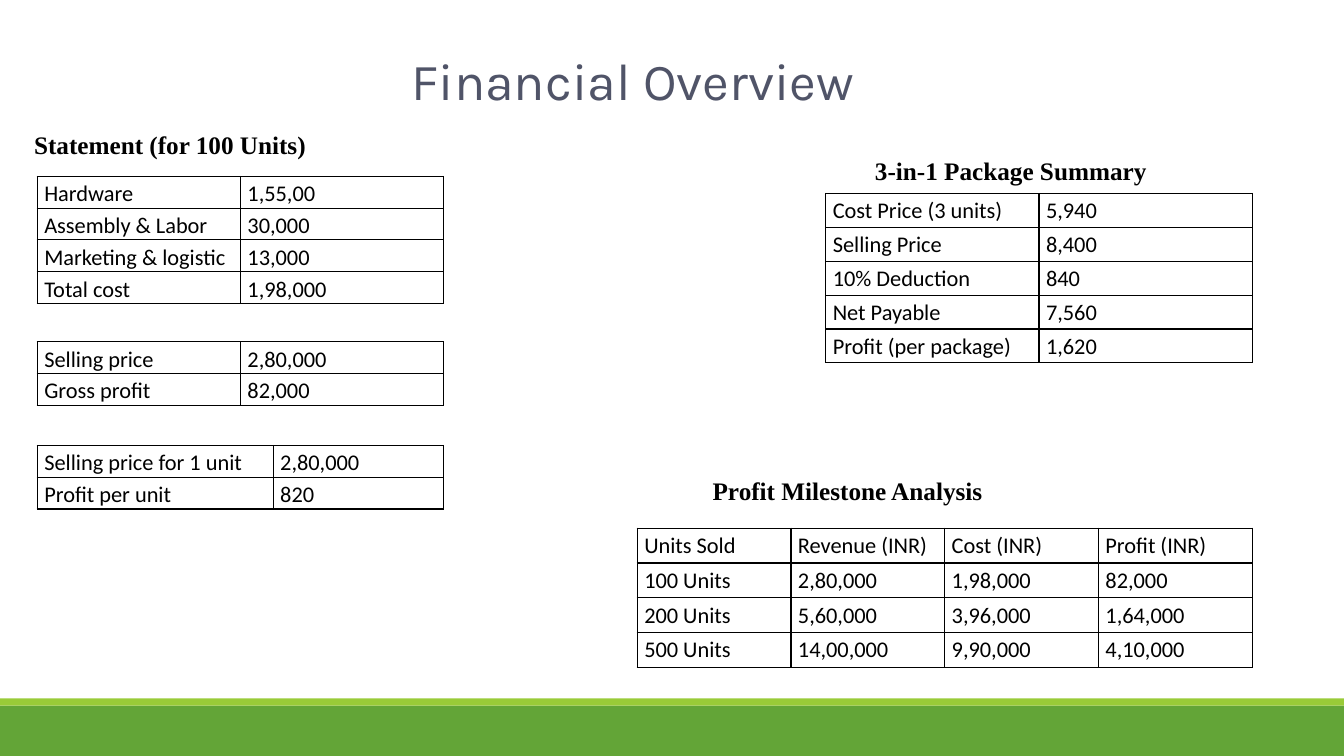
from pptx import Presentation
from pptx.dml.color import RGBColor
from pptx.enum.shapes import MSO_SHAPE
from pptx.enum.text import MSO_ANCHOR, MSO_AUTO_SIZE, PP_ALIGN
from pptx.oxml import parse_xml
from pptx.oxml.ns import nsdecls
from pptx.util import Inches, Pt

RECT = MSO_SHAPE.RECTANGLE
TOP = MSO_ANCHOR.TOP
LEFT = PP_ALIGN.LEFT
NO_FIT = MSO_AUTO_SIZE.NONE
COLORS = {"title": "505468", "text": "000000", "border": "000000",
          "green": "63A537", "lime": "99CB38"}

COSTS = [("Hardware", "1,55,00"), ("Assembly & Labor", "30,000"),
         ("Marketing & logistic", "13,000"), ("Total cost", "1,98,000")]
PROFIT = [("Selling price", "2,80,000"), ("Gross profit", "82,000")]
UNIT = [("Selling price for 1 unit", "2,80,000"), ("Profit per unit", "820")]
PACKAGE = [("Cost Price (3 units)", "5,940"), ("Selling Price", "8,400"),
           ("10% Deduction", "840"), ("Net Payable", "7,560"),
           ("Profit (per package)", "1,620")]
MILESTONES = [("Units Sold", "Revenue (INR)", "Cost (INR)", "Profit (INR)"),
              ("100 Units", "2,80,000", "1,98,000", "82,000"),
              ("200 Units", "5,60,000", "3,96,000", "1,64,000"),
              ("500 Units", "14,00,000", "9,90,000", "4,10,000")]


def set_text(tf, text, size, font, color="text", bold=False, spacing=1.15, after=8):
    """Write one formatted paragraph into a text frame."""
    p = tf.paragraphs[0]
    p.alignment = LEFT
    p.line_spacing = spacing
    p.space_before = Pt(0)
    p.space_after = Pt(after)
    r = p.add_run()
    r.text = text
    r.font.size = Pt(size)
    r.font.name = font
    r.font.bold = bold
    r.font.color.rgb = RGBColor.from_string(COLORS[color])


def add_footer(slide, x, y, w, h):
    """Draw the green footer with its lime strip on top."""
    strip = 0.07
    for top, height, color in ((y + strip, h - strip, "green"), (y, strip, "lime")):
        sp = slide.shapes.add_shape(RECT, Inches(x), Inches(top), Inches(w), Inches(height))
        sp.shadow.inherit = False
        sp.fill.solid()
        sp.fill.fore_color.rgb = RGBColor.from_string(COLORS[color])
        sp.line.fill.background()


def add_title(slide, text, x, y, w, h):
    """Place the slide title in its placeholder."""
    sp = slide.shapes.title
    sp.left, sp.top, sp.width, sp.height = (Inches(v) for v in (x, y, w, h))
    tf = sp.text_frame
    tf.margin_left = tf.margin_right = tf.margin_top = tf.margin_bottom = 0
    tf.vertical_anchor = TOP
    tf.auto_size = NO_FIT
    tf.word_wrap = False
    set_text(tf, text, 37.1, "Karla", color="title", spacing=Pt(46.2), after=0)


def add_heading(slide, text, x, y, w, h=0.43):
    """Add a bold serif heading above a table."""
    tf = slide.shapes.add_textbox(Inches(x), Inches(y), Inches(w), Inches(h)).text_frame
    tf.word_wrap = True
    set_text(tf, text, 18, "Times New Roman", bold=True)


def format_cell(cell, text):
    """Fill a table cell with text, thin borders and no background."""
    cell.margin_left = cell.margin_right = Inches(0.07)
    cell.margin_top = cell.margin_bottom = 0
    set_text(cell.text_frame, text, 16, "Calibri")
    tc_pr = cell._tc.get_or_add_tcPr()
    for side in "LRTB":
        tc_pr.append(parse_xml(
            f'<a:ln{side} {nsdecls("a")} w="12700"><a:solidFill>'
            f'<a:srgbClr val="{COLORS["border"]}"/></a:solidFill></a:ln{side}>'))
    cell.fill.background()


def add_grid(slide, rows, x, y, w, h, first_col=None):
    """Add a bordered table with equal rows and an optional first column width."""
    n = len(rows[0])
    first = first_col or w / n
    widths = [first] + [(w - first) / (n - 1)] * (n - 1)
    table = slide.shapes.add_table(len(rows), n, Inches(x), Inches(y),
                                   Inches(w), Inches(h)).table
    table.first_row = table.horz_banding = False
    for col, width in zip(table.columns, widths):
        col.width = Inches(width)
    for i, row in enumerate(rows):
        table.rows[i].height = Inches(h / len(rows))
        for j, text in enumerate(row):
            format_cell(table.cell(i, j), text)


def add_statement(slide, x, y, w):
    """Place the statement heading and its three tables."""
    add_heading(slide, "Statement (for 100 Units)", x - 0.13, y, 6.67)
    add_grid(slide, COSTS, x, y + 0.56, w, 1.26)
    add_grid(slide, PROFIT, x, y + 2.2, w, 0.63)
    add_grid(slide, UNIT, x, y + 3.23, w, 0.63, first_col=2.34)


def add_package(slide, x, y, w):
    """Place the package summary heading and table."""
    add_heading(slide, "3-in-1 Package Summary", x + 0.39, y, 4.36)
    add_grid(slide, PACKAGE, x, y + 0.47, w, 1.68)


def add_milestones(slide, x, y, w):
    """Place the profit milestone heading and table."""
    add_heading(slide, "Profit Milestone Analysis", x + 0.65, y, w)
    add_grid(slide, MILESTONES, x, y + 0.62, w, 1.38)


def main():
    """Build and save the slide."""
    prs = Presentation()
    prs.slide_width, prs.slide_height = Inches(13.33), Inches(7.5)
    slide = prs.slides.add_slide(prs.slide_layouts[5])
    add_footer(slide, 0, 6.93, 13.33, 0.57)
    add_title(slide, "Financial Overview", 4.08, 0.46, 5.17, 0.65)
    add_statement(slide, 0.37, 1.19, 4.03)
    add_package(slide, 8.19, 1.45, 4.23)
    add_milestones(slide, 6.32, 4.62, 6.1)
    prs.save("out.pptx")


if __name__ == "__main__":
    main()
